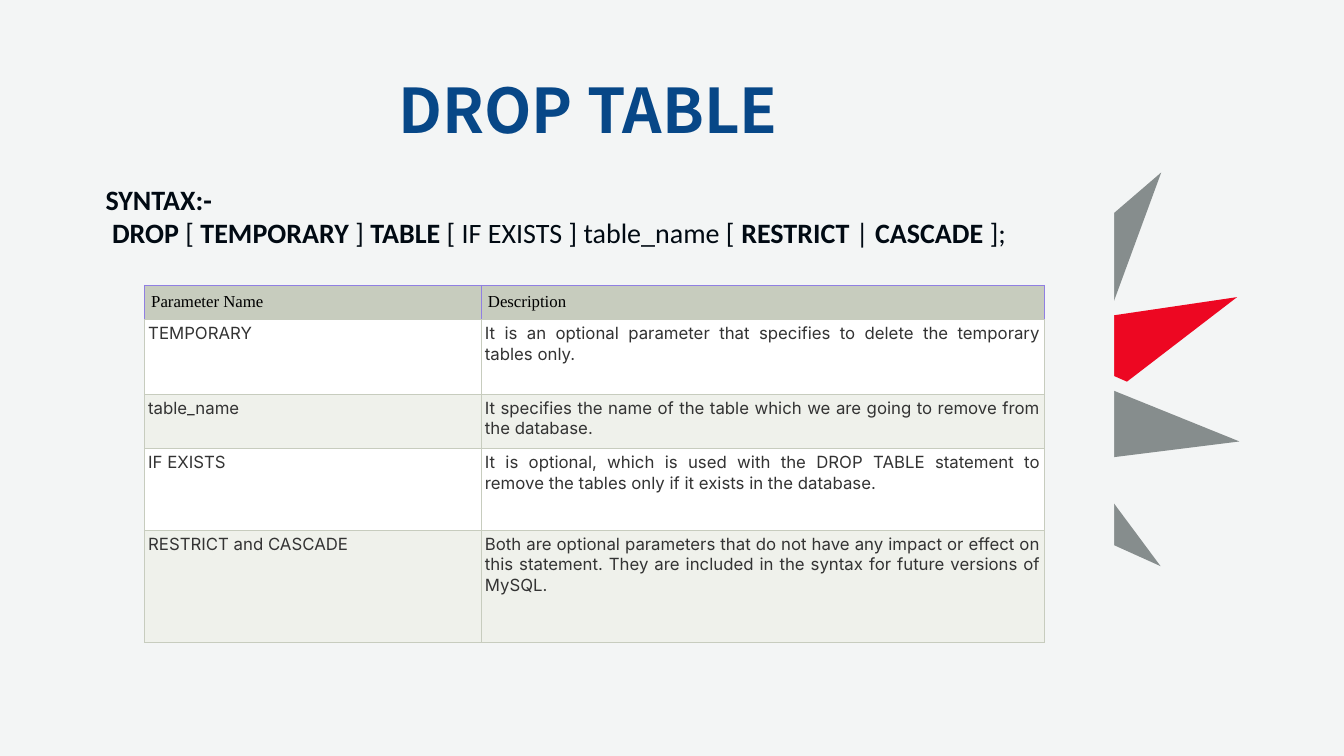
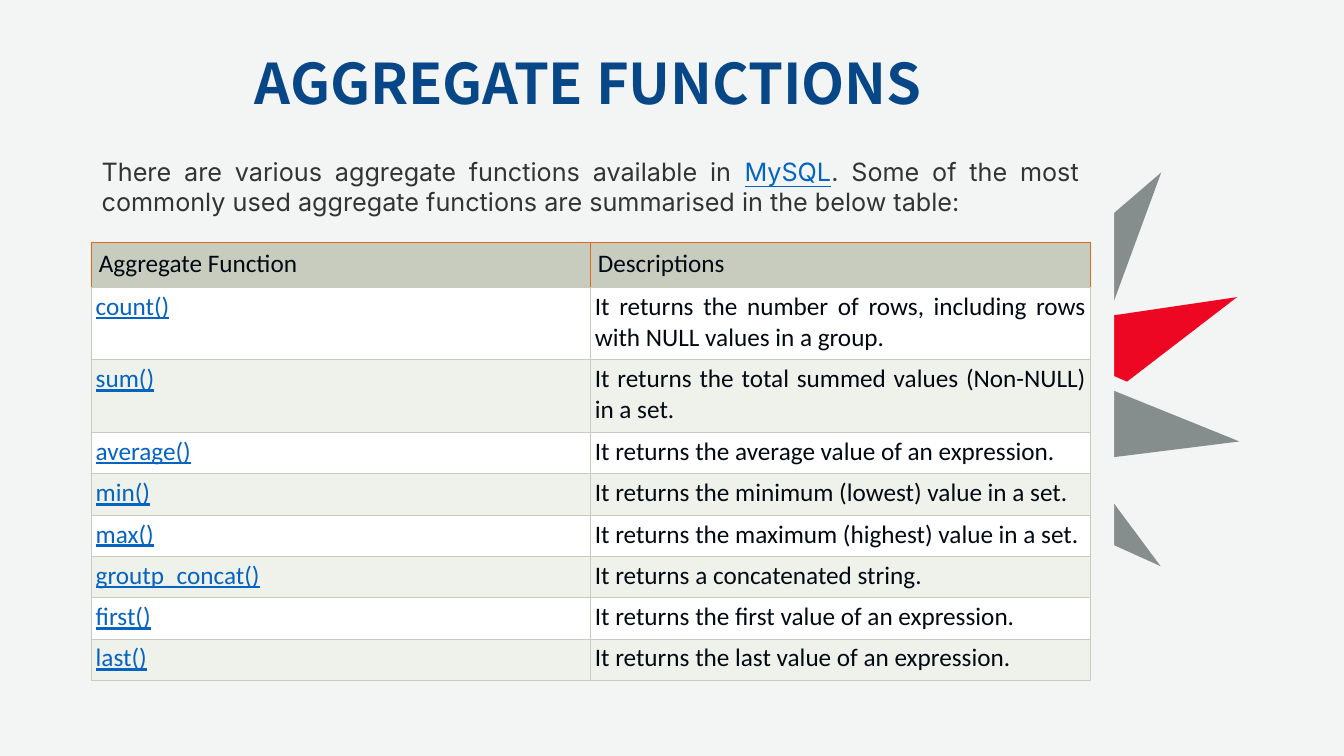
import pptx
import pptx.util
import pptx.dml.color
import pptx.enum.shapes
import pptx.enum.text
import pptx.oxml
import pptx.oxml.ns

SCALE = 9144  # EMU per px, 100 px to the inch
COLORS = {
    "back": "F3F5F5", "title": "074787", "ink": "010A13", "black": "000000",
    "body": "333333", "link": "0563C1", "red": "ED0722", "gray": "868D8D",
    "head": "C7CCBE", "white": "FFFFFF", "band": "EFF1EB",
    "violet": "907FE2", "orange": "E0691A",
}
RAYS = [  # left, top, turn, color
    (1006, 311, 171.6, "red"), (943, 457, 233.4, "gray"),
    (998, 393, 202, "gray"), (974, 237, 139.3, "gray"),
]
ALIGN = pptx.enum.text.PP_ALIGN
SHAPE = pptx.enum.shapes.MSO_SHAPE


def px(*sizes):
    return [pptx.util.Emu(size * SCALE) for size in sizes]


def rgb(name):
    return pptx.dml.color.RGBColor.from_string(COLORS[name])


class Deck:
    def __init__(self):
        self.prs = pptx.Presentation()
        self.prs.slide_width, self.prs.slide_height = px(1333, 750)
        self.slide = None

    def start(self):
        """Add a slide with the shared background and rays."""
        self.slide = self.prs.slides.add_slide(self.prs.slide_layouts[6])
        fill = self.slide.background.fill
        fill.solid()
        fill.fore_color.rgb = rgb("back")
        for left, top, turn, color in RAYS:
            ray = self.shape(SHAPE.ISOSCELES_TRIANGLE, (left, top, 227, 67), color)
            ray.adjustments[0] = 0.53
            ray.rotation = turn
        # Cuts the rays off along one vertical edge
        self.shape(SHAPE.RECTANGLE, (112, 211, 993, 468), "back")

    def shape(self, kind, box, color):
        item = self.slide.shapes.add_shape(kind, *px(*box))
        item.shadow.inherit = False
        item.fill.solid()
        item.fill.fore_color.rgb = rgb(color)
        item.line.fill.background()
        return item

    def style(self, para, font, size, color, align=None):
        para.alignment = align
        para.font.name = font
        para.font.size = pptx.util.Pt(size)
        para.font.color.rgb = rgb(color)

    def frame(self, box):
        frame = self.slide.shapes.add_textbox(*px(*box)).text_frame
        frame.word_wrap = True
        return frame

    def title(self, text, height, size):
        frame = self.frame((89, 40, 989, height))
        frame.vertical_anchor = pptx.enum.text.MSO_ANCHOR.MIDDLE
        para = frame.paragraphs[0]
        para.text = text
        para.line_spacing = 0.9
        self.style(para, "Noto Sans CJK SC", size, "title", ALIGN.CENTER)
        para.font.bold = True

    def text(self, box, lines, font, size, color):
        """Write lines of (text, mark) runs; mark is "", "bold" or "link"."""
        frame = self.frame(box)
        for num, line in enumerate(lines):
            para = frame.add_paragraph() if num else frame.paragraphs[0]
            self.style(para, font, size, color, ALIGN.JUSTIFY)
            for words, mark in line:
                run = para.add_run()
                run.text = words
                if mark == "bold":
                    run.font.bold = True
                elif mark == "link":
                    run.font.underline = True
                    run.font.color.rgb = rgb("link")

    def edge(self, cell, sides, color):
        props = cell._tc.get_or_add_tcPr()
        for side in sides:
            props.append(pptx.oxml.parse_xml(
                f'<a:ln{side} {pptx.oxml.ns.nsdecls("a")} w="7620"><a:solidFill>'
                f'<a:srgbClr val="{COLORS[color]}"/></a:solidFill></a:ln{side}>'))

    def cell(self, cell, text, fill, pad):
        cell.fill.solid()
        cell.fill.fore_color.rgb = rgb(fill)
        cell.margin_left = cell.margin_right = px(pad)[0]
        cell.margin_top = cell.margin_bottom = px(pad)[0]
        para = cell.text_frame.paragraphs[0]
        para.text = text
        return para

    def table(self, place, widths, heights, rows, size, edge, head, body, links=False):
        """Draw a table; head and body are (font, color) pairs."""
        grid = self.slide.shapes.add_table(
            len(rows), len(widths), *px(*place, sum(widths), sum(heights))).table
        grid.first_row = grid.horz_banding = False
        for col, width in zip(grid.columns, widths):
            col.width = px(width)[0]
        for row, height in zip(grid.rows, heights):
            row.height = px(height)[0]
        for r, row in enumerate(rows):
            for c, text in enumerate(row):
                cell = grid.cell(r, c)
                if r == 0:
                    self.edge(cell, "LRT", edge)
                    self.edge(cell, "B", "head")
                    para = self.cell(cell, text, "head", 7)
                    self.style(para, head[0], size, head[1])
                    continue
                self.edge(cell, "LRTB", "head")
                para = self.cell(cell, text, "white" if r % 2 else "band", 4)
                link = links and c == 0
                self.style(para, body[0], size, "link" if link else body[1], ALIGN.JUSTIFY)
                if link:
                    para.font.underline = True


def drop(deck):
    deck.start()
    deck.title("DROP TABLE", 145, 44)
    deck.table(
        (143, 283), (334, 559), (34, 74, 54, 81, 111),
        [
            ("Parameter Name", "Description"),
            ("TEMPORARY", "It is an optional parameter that specifies to delete "
             "the temporary tables only."),
            ("table_name", "It specifies the name of the table which we are going "
             "to remove from the database."),
            ("IF EXISTS", "It is optional, which is used with the DROP TABLE "
             "statement to remove the tables only if it exists in the database."),
            ("RESTRICT and CASCADE", "Both are optional parameters that do not have "
             "any impact or effect on this statement. They are included in the "
             "syntax for future versions of MySQL."),
        ],
        12, "violet", ("Times New Roman", "black"), ("Inter", "body"))
    deck.text(
        (95, 176, 989, 77),
        [
            [("SYNTAX:-", "bold")],
            [(" DROP", "bold"), (" [ ", ""), ("TEMPORARY", "bold"), (" ] ", ""),
             ("TABLE", "bold"), (" [ IF EXISTS ] table_name [ ", ""),
             ("RESTRICT", "bold"), (" | ", ""), ("CASCADE", "bold"), (" ];", "")],
        ],
        "Calibri", 20, "ink")


def totals(deck):
    deck.start()
    deck.title("AGGREGATE FUNCTIONS", 91, 40)
    deck.text(
        (91, 150, 989, 71),
        [[("There are various aggregate functions available in ", ""),
          ("MySQL", "link"),
          (". Some of the most commonly used aggregate functions are summarised "
           "in the below table:", "")]],
        "Inter", 18, "body")
    deck.table(
        (91, 240), (495, 495), [45] + [72] * 2 + [41] * 6,
        [
            ("Aggregate Function", "Descriptions"),
            ("count()", "It returns the number of rows, including rows with NULL "
             "values in a group."),
            ("sum()", "It returns the total summed values (Non-NULL) in a set."),
            ("average()", "It returns the average value of an expression."),
            ("min()", "It returns the minimum (lowest) value in a set."),
            ("max()", "It returns the maximum (highest) value in a set."),
            ("groutp_concat()", "It returns a concatenated string."),
            ("first()", "It returns the first value of an expression."),
            ("last()", "It returns the last value of an expression."),
        ],
        18, "orange", ("Calibri", "ink"), ("Calibri", "ink"), links=True)


def main():
    deck = Deck()
    drop(deck)
    totals(deck)
    deck.prs.save("out.pptx")


if __name__ == "__main__":
    main()
